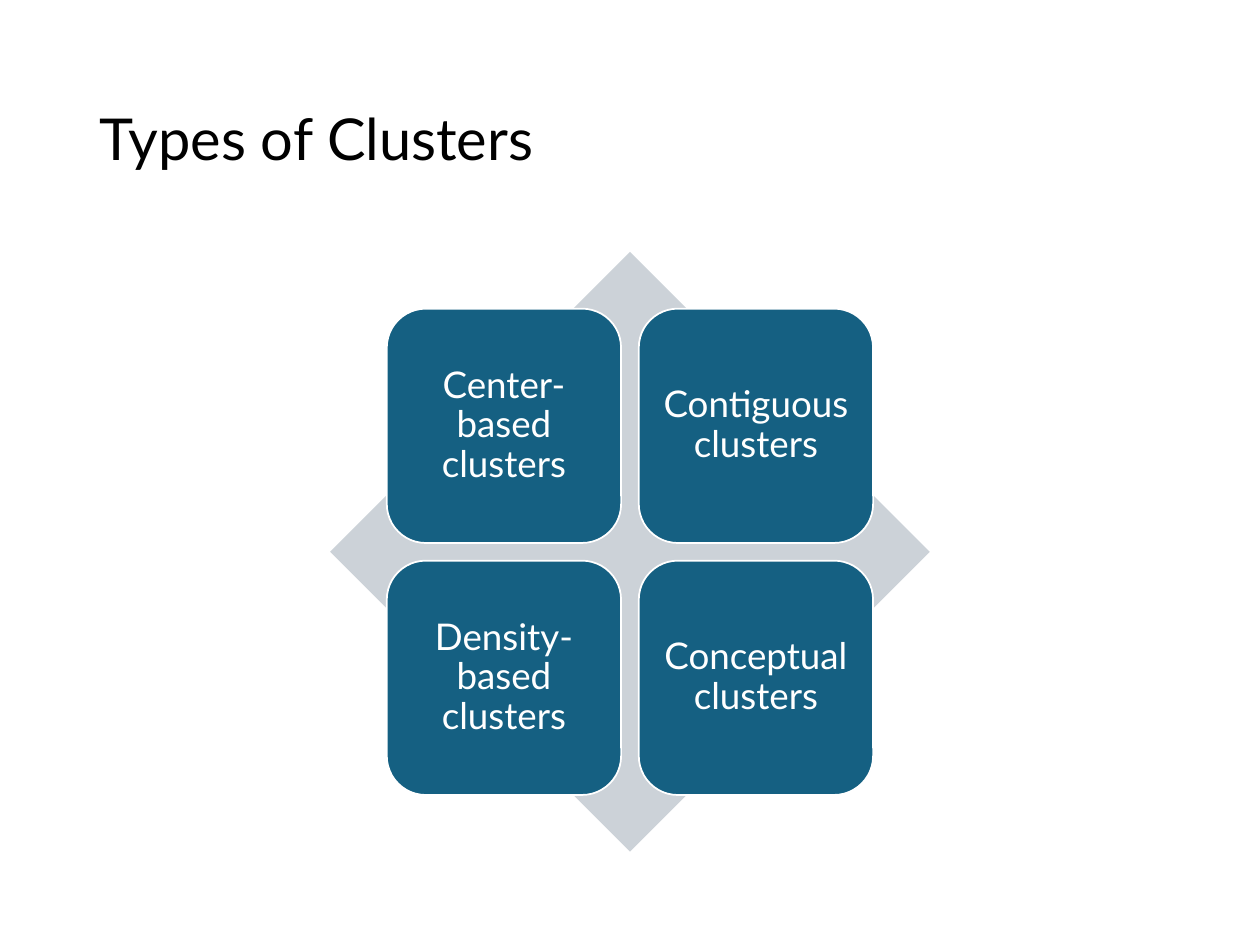
"""Build a slide that shows four types of clusters as tiles over a diamond."""
from dataclasses import dataclass

from pptx import Presentation
from pptx.dml.color import RGBColor
from pptx.enum.shapes import MSO_SHAPE
from pptx.enum.text import MSO_ANCHOR, PP_ALIGN
from pptx.util import Inches, Pt

TITLE = "Types of Clusters"
CLUSTERS = [
    ["Center-based clusters", "Contiguous clusters"],
    ["Density-based clusters", "Conceptual clusters"],
]


@dataclass(frozen=True)
class Theme:
    font: str = "Lato"
    ink: str = "000000"
    paper: str = "FFFFFF"
    tile: str = "156082"
    diamond: str = "CCD2D8"
    title_size: int = 33
    tile_size: int = 21


THEME = Theme()
WIDTH, HEIGHT = 10, 7.5
TITLE_BOX = (0.69, 0.4, 8.62, 1.45)
CENTER_X, CENTER_Y = WIDTH / 2, 4.38
DIAMOND = 4.76
TILE = 1.86
PITCH = 2.0
INSET = 0.09


def rgb(value):
    return RGBColor.from_string(value)


def set_text(shape, text, size, color, align):
    tf = shape.text_frame
    tf.word_wrap = True
    tf.vertical_anchor = MSO_ANCHOR.MIDDLE
    p = tf.paragraphs[0]
    p.alignment = align
    p.line_spacing = 0.9
    r = p.add_run()
    r.text = text
    for name, value in {"name": THEME.font, "size": Pt(size), "bold": False}.items():
        setattr(r.font, name, value)
    r.font.color.rgb = rgb(color)


def add_square(group, kind, x, y, side, fill):
    box = (x - side / 2, y - side / 2, side, side)
    sp = group.shapes.add_shape(kind, *map(Inches, box))
    sp.shadow.inherit = False
    sp.fill.solid()
    sp.fill.fore_color.rgb = rgb(fill)
    sp.line.fill.background()
    return sp


def add_tile(group, text, x, y):
    sp = add_square(group, MSO_SHAPE.ROUNDED_RECTANGLE, x, y, TILE, THEME.tile)
    sp.line.color.rgb = rgb(THEME.paper)
    sp.line.width = Pt(1)
    for side in ("left", "top", "right", "bottom"):
        setattr(sp.text_frame, f"margin_{side}", Inches(INSET))
    set_text(sp, text, THEME.tile_size, THEME.paper, PP_ALIGN.CENTER)


def main():
    prs = Presentation()
    prs.slide_width, prs.slide_height = Inches(WIDTH), Inches(HEIGHT)
    s = prs.slides.add_slide(prs.slide_layouts[5])

    title = s.shapes.title
    for name, value in zip(("left", "top", "width", "height"), TITLE_BOX):
        setattr(title, name, Inches(value))
    set_text(title, TITLE, THEME.title_size, THEME.ink, PP_ALIGN.LEFT)

    group = s.shapes.add_group_shape()
    add_square(group, MSO_SHAPE.DIAMOND, CENTER_X, CENTER_Y, DIAMOND, THEME.diamond)
    for row, names in enumerate(CLUSTERS):
        for col, name in enumerate(names):
            add_tile(group, name, CENTER_X + (col - 0.5) * PITCH, CENTER_Y + (row - 0.5) * PITCH)

    prs.save("out.pptx")


if __name__ == "__main__":
    main()
